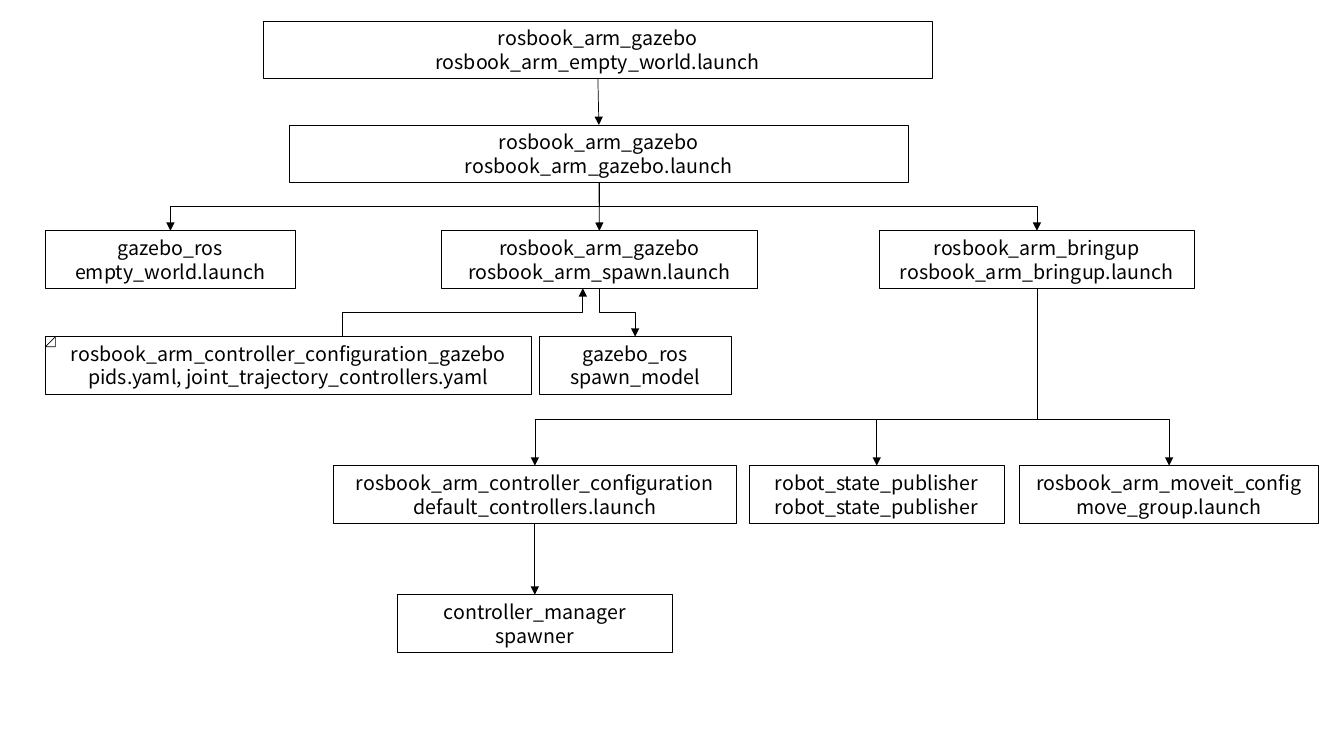
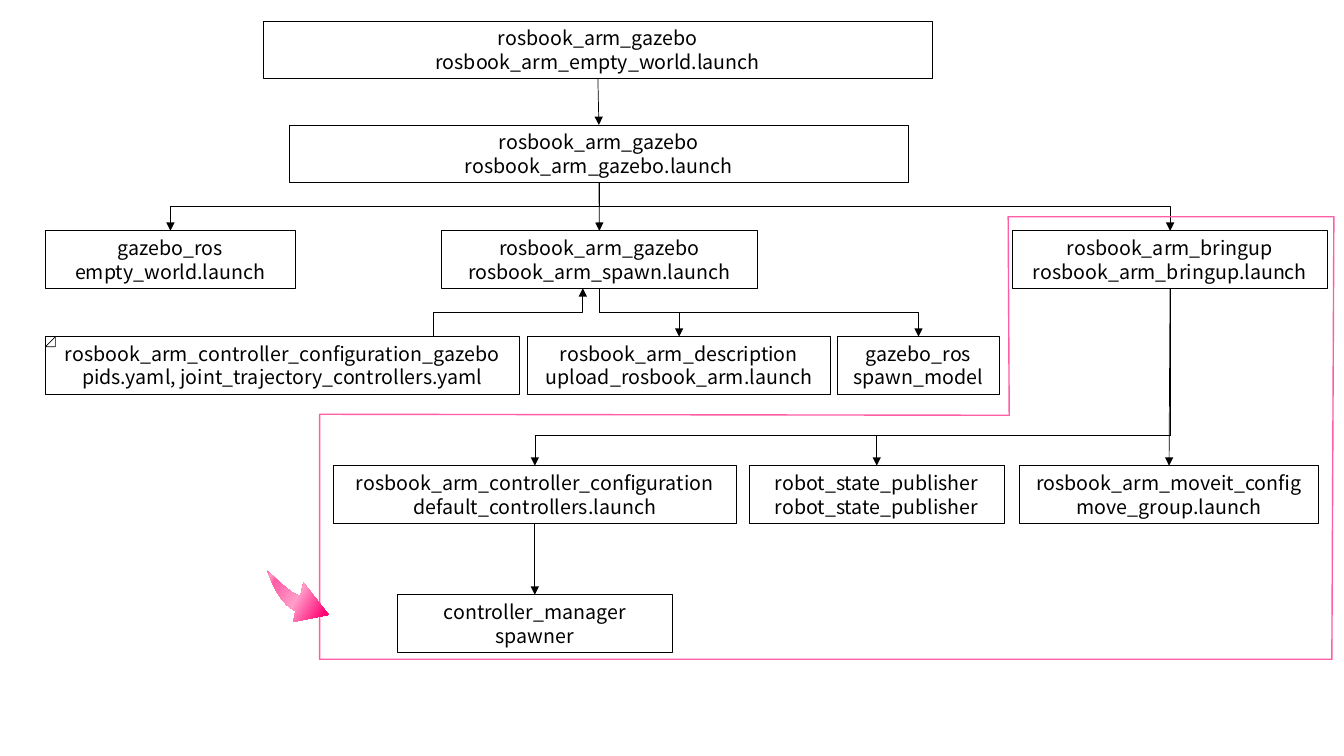
from lxml.etree import SubElement
from pptx import Presentation
from pptx.dml.color import RGBColor
from pptx.enum.shapes import MSO_CONNECTOR as Connector, MSO_SHAPE as Shape
from pptx.enum.text import MSO_ANCHOR as Anchor, MSO_AUTO_SIZE as AutoSize, PP_ALIGN as Align
from pptx.oxml.ns import qn
from pptx.util import Emu, Inches, Pt

COLORS = {
    "ink": "000000",
    "paper": "FFFFFF",
    "pink": "FF5DA6",
    "light_pink": "FF9ECA",
    "deep_pink": "FF0676",
}
FONT = {"name": "Noto Sans CJK JP", "size": Pt(14)}
TEXT_FRAME = {
    "word_wrap": True,
    "auto_size": AutoSize.SHAPE_TO_FIT_TEXT,
    "vertical_anchor": Anchor.MIDDLE,
}
PARAGRAPH = {"alignment": Align.CENTER, "line_spacing": Pt(16.8)}

ROW_TOPS = [0.21, 1.24, 2.29, 3.34, 4.62, 5.9]
BOX_HEIGHT = 0.57
LEFT_MARGIN = 0.45
CORNER_SIZE = 0.1
THIN, MEDIUM = 0.5, 1
BOTTOM_SITE, TOP_SITE = 2, 0
CONFIG_ARROW_X = 5.78

# Name: (row, left, width, package, file)
SHARED_BOXES = {
    "world": (0, 2.61, 6.64, "rosbook_arm_gazebo", "rosbook_arm_empty_world.launch"),
    "gazebo": (1, 2.87, 6.14, "rosbook_arm_gazebo", "rosbook_arm_gazebo.launch"),
    "empty": (2, LEFT_MARGIN, 2.48, "gazebo_ros", "empty_world.launch"),
    "spawn": (2, 4.38, 3.13, "rosbook_arm_gazebo", "rosbook_arm_spawn.launch"),
    "controllers": (4, 3.31, 3.99, "rosbook_arm_controller_configuration",
                    "default_controllers.launch"),
    "state": (4, 7.43, 2.53, "robot_state_publisher", "robot_state_publisher"),
    "move": (4, 10.11, 2.97, "rosbook_arm_moveit_config", "move_group.launch"),
    "manager": (5, 3.94, 2.73, "controller_manager", "spawner"),
}
DESCRIPTION_BOX = (3, 5.23, 3.01, "rosbook_arm_description", "upload_rosbook_arm.launch")

# Source: targets
SHARED_LINKS = {
    "world": ["gazebo"],
    "gazebo": ["empty", "spawn", "bringup"],
    "spawn": ["model"],
    "bringup": ["controllers", "state", "move"],
    "controllers": ["manager"],
}


def color(name):
    return RGBColor.from_string(COLORS[name])


def apply(target, values):
    for name, value in values.items():
        setattr(target, name, value)


def set_line(line, color_name="ink", width=THIN):
    line.color.rgb = color(color_name)
    line.width = Pt(width)


def add_box(slide, row, left, width, *texts):
    shape = slide.shapes.add_shape(
        Shape.RECTANGLE, Inches(left), Inches(ROW_TOPS[row]), Inches(width), Inches(BOX_HEIGHT))
    shape.shadow.inherit = False
    shape.fill.background()
    set_line(shape.line)
    frame = shape.text_frame
    apply(frame, TEXT_FRAME)
    for index, text in enumerate(texts):
        paragraph = frame.add_paragraph() if index else frame.paragraphs[0]
        apply(paragraph, PARAGRAPH)
        run = paragraph.add_run()
        run.text = text
        apply(run.font, FONT)
        run.font.color.rgb = color("ink")
    return shape


def finish_connector(connector, arrow_end):
    set_line(connector.line)
    properties = connector._element.spPr
    SubElement(properties.find(qn("a:ln")), qn(f"a:{arrow_end}"), type="triangle")
    SubElement(properties, qn("a:effectLst"))


def route_down(connector, start, end, bend=0.5):
    """Turn an elbow so that it leaves downwards and bends at a share of its height."""
    (start_x, start_y), (end_x, end_y) = start, end
    length, spread = end_y - start_y, abs(end_x - start_x)
    apply(connector, {
        "left": Emu((start_x + end_x - length) // 2),
        "top": Emu((start_y + end_y - spread) // 2),
        "width": Emu(length),
        "height": Emu(spread),
    })
    goes_right = end_x > start_x
    properties = connector._element.spPr
    frame = properties.find(qn("a:xfrm"))
    frame.set("rot", str((270 if goes_right else 90) * 60000))
    frame.set("flipH", str(int(goes_right)))
    frame.set("flipV", "0")
    geometry = properties.find(qn("a:prstGeom"))
    adjustments = geometry.find(qn("a:avLst"))
    if adjustments is None:
        adjustments = SubElement(geometry, qn("a:avLst"))
    SubElement(adjustments, qn("a:gd"), name="adj1", fmla=f"val {round(bend * 100000)}")


def add_link(slide, source, target, bend):
    start = source.left + source.width // 2, source.top + source.height
    end = target.left + target.width // 2, target.top
    is_straight = abs(end[0] - start[0]) < Inches(0.02)
    kind = Connector.STRAIGHT if is_straight else Connector.ELBOW
    connector = slide.shapes.add_connector(kind, *start, *end)
    connector.begin_connect(source, BOTTOM_SITE)
    connector.end_connect(target, TOP_SITE)
    if not is_straight:
        route_down(connector, start, end, bend)
    finish_connector(connector, "tailEnd")


def add_config_link(slide, spawn, config, config_x):
    """Lead the configuration files up into the spawn box."""
    start = Inches(CONFIG_ARROW_X), spawn.top + spawn.height
    end = Inches(config_x), config.top
    connector = slide.shapes.add_connector(Connector.ELBOW, *start, *end)
    route_down(connector, start, end)
    finish_connector(connector, "headEnd")


def add_file_corner(slide, config):
    size = Inches(CORNER_SIZE)
    corner = slide.shapes.add_shape(Shape.RIGHT_TRIANGLE, config.left, config.top, size, size)
    corner.shadow.inherit = False
    corner.fill.solid()
    corner.fill.fore_color.rgb = color("paper")
    set_line(corner.line)
    corner._element.spPr.find(qn("a:xfrm")).set("flipH", "1")


def add_polygon(slide, points):
    first, *others = [(Inches(x), Inches(y)) for x, y in points]
    builder = slide.shapes.build_freeform(*first, scale=1.0)
    builder.add_line_segments(others, close=True)
    shape = builder.convert_to_shape()
    shape.shadow.inherit = False
    return shape


def curve(start, control_1, control_2, end, steps=12):
    """Points along a cubic curve."""
    points = []
    for step in range(steps + 1):
        t = step / steps
        weights = (1 - t) ** 3, 3 * t * (1 - t) ** 2, 3 * t ** 2 * (1 - t), t ** 3
        points.append(tuple(
            sum(weight * value for weight, value in zip(weights, values))
            for values in zip(start, control_1, control_2, end)))
    return points


def set_gradient(fill_owner, angle, stops):
    fill_owner.fill.gradient()
    fill_owner.fill.gradient_angle = angle
    stop_list = fill_owner._element.spPr.find(qn("a:gradFill")).find(qn("a:gsLst"))
    for stop in list(stop_list):
        stop_list.remove(stop)
    for percent, name in stops:
        stop = SubElement(stop_list, qn("a:gs"), pos=str(percent * 1000))
        SubElement(stop, qn("a:srgbClr"), val=COLORS[name])


def add_bringup_highlight(slide):
    region = add_polygon(slide, [
        (3.17, 6.54), (13.21, 6.54), (13.23, 2.15), (10, 2.15), (10.01, 4.12), (3.17, 4.11)])
    region.fill.background()
    set_line(region.line, "pink", MEDIUM)

    tail = (2.65, 5.66)
    upper_edge = curve(tail, (2.89, 5.89), (2.93, 5.9), (2.98, 5.91))
    head = [(3.01, 5.78), (3.26, 6.1), (2.91, 6.17)]
    lower_edge = curve((2.93, 6.06), (2.94, 6.06), (2.78, 6.03), tail)
    pointer = add_polygon(slide, upper_edge + head + lower_edge[:-1])
    set_gradient(pointer, 330, [
        (0, "pink"), (7, "light_pink"), (15, "pink"), (50, "light_pink"), (90, "deep_pink")])
    pointer.line.fill.background()


def add_launch_tree(presentation, bringup_left, config_width, config_x, model_place,
                    bringup_bend, extra_boxes=None):
    slide = presentation.slides.add_slide(presentation.slide_layouts[6])
    extra_boxes = extra_boxes or {}
    content = {
        **SHARED_BOXES,
        "bringup": (2, bringup_left, 3.13, "rosbook_arm_bringup", "rosbook_arm_bringup.launch"),
        "config": (3, LEFT_MARGIN, config_width, "rosbook_arm_controller_configuration_gazebo",
                   "pids.yaml, joint_trajectory_controllers.yaml"),
        "model": (3, *model_place, "gazebo_ros", "spawn_model"),
        **extra_boxes,
    }
    boxes = {name: add_box(slide, *values) for name, values in content.items()}
    links = {**SHARED_LINKS, "spawn": [*SHARED_LINKS["spawn"], *extra_boxes]}
    for source, targets in links.items():
        bend = bringup_bend if source == "bringup" else 0.5
        for target in targets:
            add_link(slide, boxes[source], boxes[target], bend)
    add_config_link(slide, boxes["spawn"], boxes["config"], config_x)
    add_file_corner(slide, boxes["config"])
    return slide


def main():
    presentation = Presentation()
    presentation.slide_width = Inches(13.33)
    presentation.slide_height = Inches(7.5)
    add_launch_tree(presentation, bringup_left=8.72, config_width=4.82, config_x=3.4,
                    model_place=(5.35, 1.9), bringup_bend=0.74)
    slide = add_launch_tree(presentation, bringup_left=10.04, config_width=4.7, config_x=4.3,
                            model_place=(8.31, 1.6), bringup_bend=0.83,
                            extra_boxes={"description": DESCRIPTION_BOX})
    add_bringup_highlight(slide)
    presentation.save("out.pptx")


if __name__ == "__main__":
    main()
